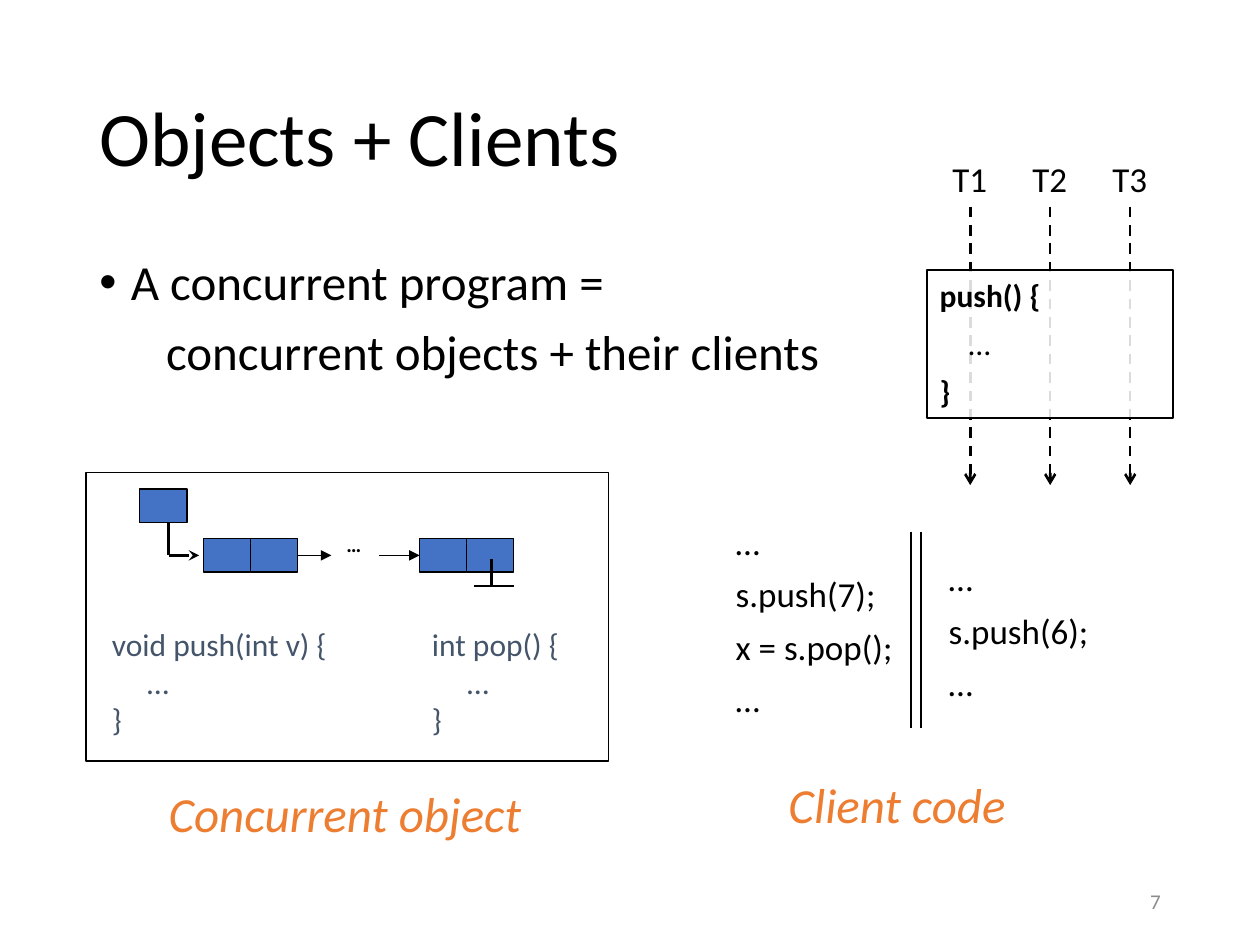
from pptx import Presentation
from pptx import util as u
from pptx.dml.color import RGBColor
from pptx.enum import dml, shapes, text
from pptx.oxml import parse_xml
from pptx.oxml.ns import nsdecls, qn

BLACK = RGBColor(0, 0, 0)
WHITE = RGBColor(255, 255, 255)
BLUE = RGBColor(0x44, 0x72, 0xC4)
SLATE = RGBColor(0x44, 0x54, 0x6A)
ORANGE = RGBColor(0xED, 0x7D, 0x31)
GRAY = RGBColor(0x8C, 0x8C, 0x8C)

presentation = Presentation()
presentation.slide_width = u.Inches(10)
presentation.slide_height = u.Inches(7.5)
COLUMN = presentation.slide_width / 100
ROW = presentation.slide_height / 75
slide = presentation.slides.add_slide(presentation.slide_layouts[6])


def grid(box):
    left, top, width, height = box
    return [u.Emu(round(value)) for value in
            (left * COLUMN, top * ROW, width * COLUMN, height * ROW)]


def within(region, left, top, width=0, height=0):
    return region[0] + left, region[1] + top, width, height


def write(frame, lines, size, color=BLACK, bold=False, italic=False,
          before=0, spacing=1.0, indents=None, align=text.PP_ALIGN.LEFT):
    frame.text = "\n".join(lines)
    for index, paragraph in enumerate(frame.paragraphs):
        paragraph.alignment = align
        paragraph.space_before = u.Pt(before)
        paragraph.line_spacing = spacing
        if indents:
            paragraph._p.get_or_add_pPr().set("marL", str(u.Inches(indents[index])))
        for run in paragraph.runs:
            run.font.name = "Calibri"
            run.font.size = u.Pt(size)
            run.font.bold = bold
            run.font.italic = italic
            run.font.color.rgb = color


def label(box, lines, size, wrap=True, middle=False, **style):
    frame = slide.shapes.add_textbox(*grid(box)).text_frame
    write(frame, lines, size, **style)
    frame.word_wrap = wrap
    if not wrap:
        frame.auto_size = text.MSO_AUTO_SIZE.SHAPE_TO_FIT_TEXT
    if middle:
        frame.vertical_anchor = text.MSO_ANCHOR.MIDDLE
    return frame


def rectangle(box, fill=None, width=0.75):
    shape = slide.shapes.add_shape(shapes.MSO_SHAPE.RECTANGLE, *grid(box))
    shape.shadow.inherit = False
    if fill is None:
        shape.fill.background()
    else:
        shape.fill.solid()
        shape.fill.fore_color.rgb = fill
    shape.line.color.rgb = BLACK
    shape.line.width = u.Pt(width)
    return shape


def line(region, start, end, width=0.75, head=None, dashed=False):
    begin = grid(within(region, *start))[:2]
    finish = grid(within(region, *end))[:2]
    connector = slide.shapes.add_connector(shapes.MSO_CONNECTOR.STRAIGHT, *begin, *finish)
    connector.line.color.rgb = BLACK
    connector.line.width = u.Pt(width)
    if dashed:
        connector.line.dash_style = dml.MSO_LINE.DASH
    properties = connector._element.spPr
    if head:
        properties.find(qn("a:ln")).append(
            parse_xml(f'<a:tailEnd {nsdecls("a")} type="{head}"/>'))
    properties.append(parse_xml(f'<a:effectLst {nsdecls("a")}/>'))


def heading(region):
    label(within(region, 0, 0, 86.2, 14.5), ["Objects + Clients"], 44,
          middle=True, spacing=0.9)


def statement(region):
    frame = label(within(region, 0, 0, 86.2, 47.6),
                  ["A concurrent program =", "concurrent objects + their clients"],
                  28, before=10, spacing=0.9, indents=[0.25, 0.53])
    properties = frame.paragraphs[0]._p.get_or_add_pPr()
    properties.set("indent", str(u.Inches(-0.25)))
    properties.append(parse_xml(f'<a:buFont {nsdecls("a")} typeface="Arial"/>'))
    properties.append(parse_xml(f'<a:buChar {nsdecls("a")} char="•"/>'))


def caption(box, words):
    frame = label(box, [words], 28, middle=True, color=ORANGE, italic=True,
                  before=6, indents=[0.03])
    frame.margin_top = 0


def client_code(region):
    for column in (15.2, 16):
        line(region, (column, 1.4), (column, 17))
    threads = (
        ((0, 0, 14.9, 17), ["…", "s.push(7);", "x = s.pop();", "…"]),
        ((16.9, 2.9, 13.5, 12.8), ["…", "s.push(6);", "…"]),
    )
    for box, code in threads:
        label(within(region, *box), code, 20, wrap=False, before=6,
              indents=[0.03] * len(code))
    caption(within(region, 4.2, 20.9, 22, 4.7), "Client code")


def concurrent_object(region):
    cell_width, cell_height, node_top = 3.74, 2.65, 5.25
    link = node_top + cell_height / 2
    first, last = 9.35, 26.5
    rectangle(region, width=1)
    cells = [(4.3, 1.3)] + [(left + index * cell_width, node_top)
                            for left in (first, last) for index in range(2)]
    for left, top in cells:
        rectangle(within(region, left, top, cell_width, cell_height), BLUE)
    for start, end in ((first + 2 * cell_width, 19.5), (23.3, last)):
        line(region, (start, link), (end, link), head="triangle")
    line(region, (6.6, 4), (6.6, link), 1.5)
    line(region, (6.6, link), (9, link), 1.5, head="stealth")
    line(region, (32.2, 6.9), (32.2, 9), 1.5)
    line(region, (30.8, 9), (34, 9), 1.5)
    label(within(region, 19.7, 4.2, 3.5, 4.4), ["…"], 12, bold=True, before=6)
    methods = ((1.1, 23.1, "void push(int v) {"), (last, 13.6, "int pop() {"))
    for left, width, signature in methods:
        label(within(region, left, 11.6, width, 10.1), [signature, "…", "}"], 18,
              color=SLATE, indents=[0, 0.28, 0])
    caption(within(region, 5.3, 24.9, 32.3, 4.7), "Concurrent object")


def push_threads(region):
    for index in range(3):
        center = 3.4 + index * 6.35
        line(region, (center, 4.4), (center, 26.5), 1.5, head="arrow", dashed=True)
        label(within(region, center - 2.4, 0, 4.8, 4.4), [f"T{index + 1}"], 20, wrap=False)
    method = rectangle(within(region, 0, 9.4, 19.5, 11.8), WHITE, 1)
    color = method._element.spPr.find(qn("a:solidFill"))[0]
    color.append(parse_xml(f'<a:alpha {nsdecls("a")} val="86000"/>'))
    frame = method.text_frame
    write(frame, ["push() {", "…", "}"], 18, bold=True, before=6, indents=[0, 0.23, 0])
    frame.vertical_anchor = text.MSO_ANCHOR.TOP
    frame.paragraphs[1].runs[0].font.bold = False


def page_number(region):
    label(region, ["7"], 12, middle=True, color=GRAY, align=text.PP_ALIGN.RIGHT)


heading((6.9, 4, 86.2, 14.5))
statement((6.9, 20, 86.2, 47.6))
page_number((70.6, 69.5, 22.5, 4))
client_code((57.1, 40.8, 30.4, 25.6))
concurrent_object((6.8, 37.5, 41.5, 22.9))
push_threads((73.6, 12, 19.5, 26.5))
presentation.save("out.pptx")
